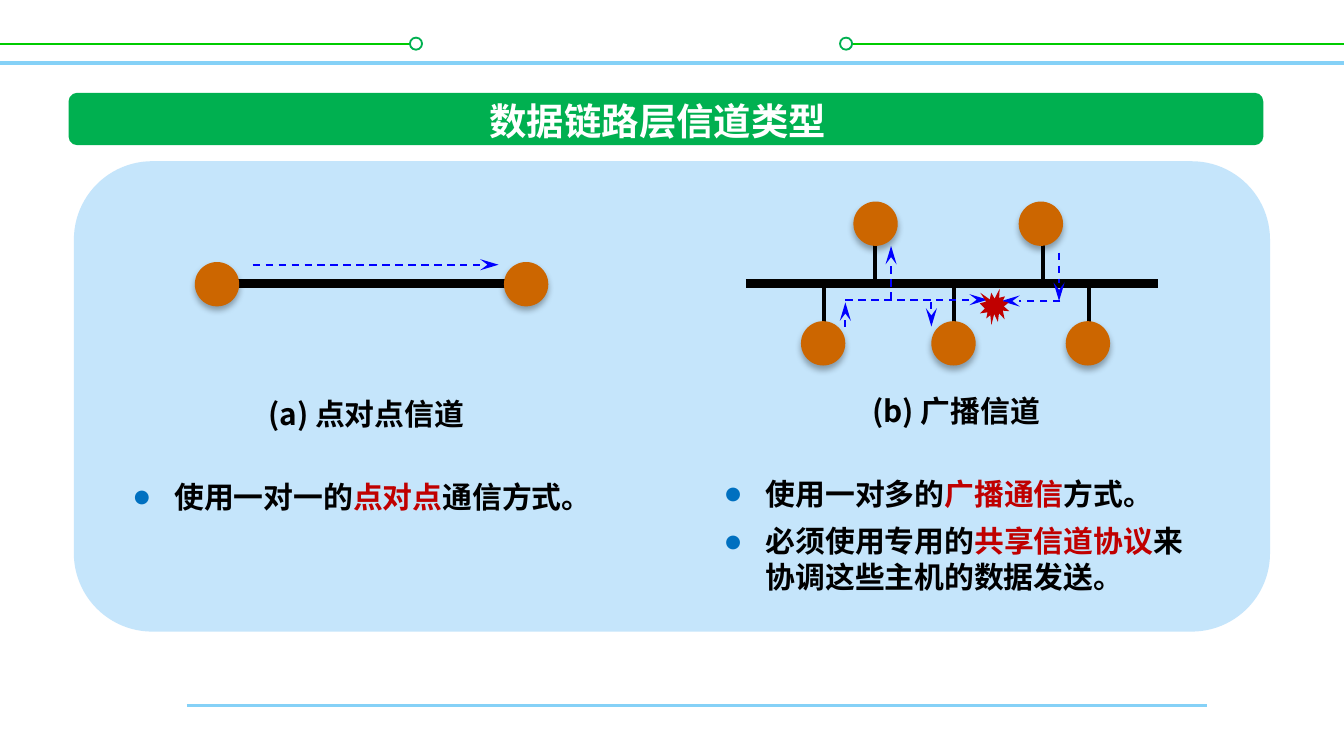
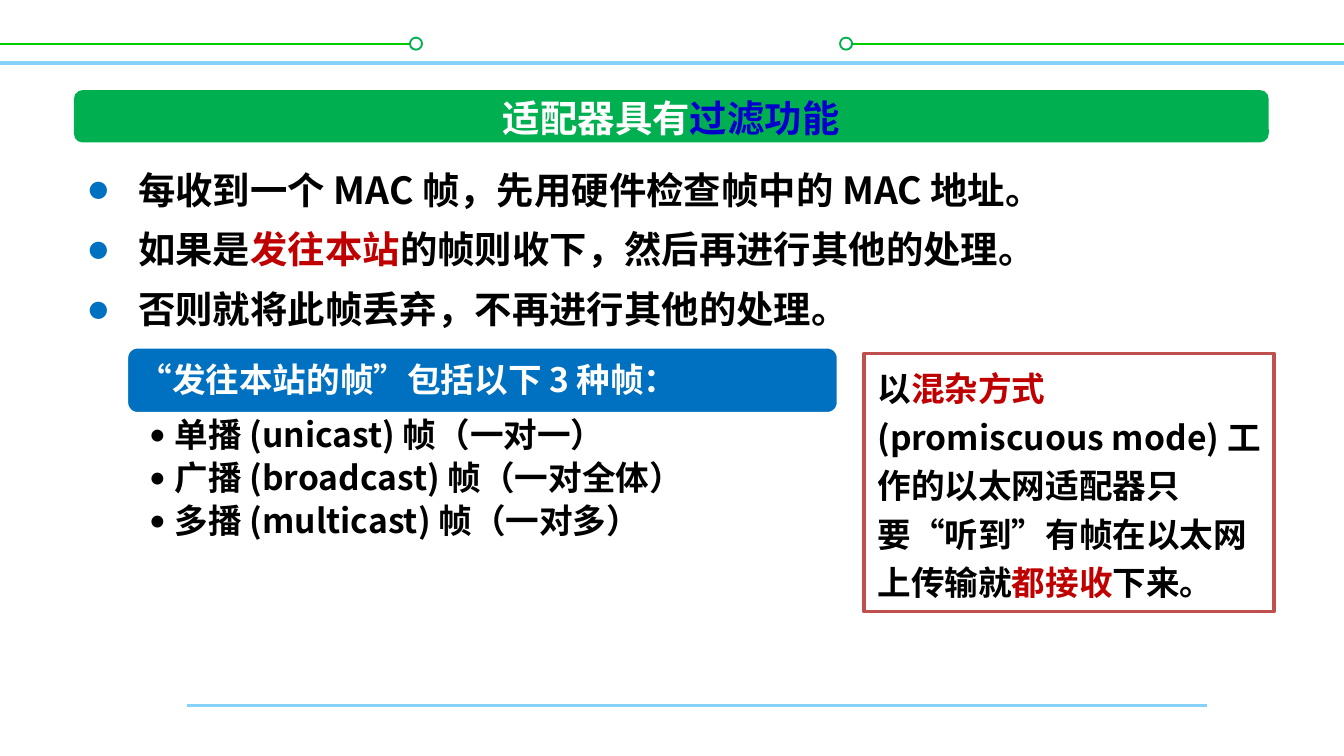
from lxml.etree import SubElement
from pptx import Presentation
from pptx.dml.color import RGBColor
from pptx.enum.dml import MSO_LINE
from pptx.enum.shapes import MSO_CONNECTOR, MSO_SHAPE
from pptx.enum.text import MSO_ANCHOR, PP_ALIGN
from pptx.oxml.ns import qn
from pptx.util import Inches, Pt

FONT = "Noto Sans CJK SC"
LATIN = "Calibri"
BLACK = RGBColor(0, 0, 0)
WHITE = RGBColor(255, 255, 255)
RED = RGBColor(0xC0, 0, 0)
GREEN = RGBColor(0, 0xB0, 0x50)
LIME = RGBColor(0, 0xCC, 0)
SKY = RGBColor(0x85, 0xD1, 0xF7)
PALE = RGBColor(0xC5, 0xE5, 0xFB)
BLUE = RGBColor(0, 0x70, 0xC0)
NAVY = RGBColor(0, 0, 0xCC)
ARROW = RGBColor(0, 0, 255)
ORANGE = RGBColor(0xCC, 0x66, 0)
BRICK = RGBColor(0xC0, 0x50, 0x4D)

RULES = [
    (0, 0.47, 10, 0.47, SKY, 2),
    (0, 0.33, 3.1, 0.33, LIME, 1),
    (6.25, 0.33, 10, 0.33, LIME, 1),
    (1.39, 5.25, 8.98, 5.25, SKY, 1.5),
]
RINGS = [3.05, 6.25]

NODE = 0.33
BUS = 2.11
HOSTS = [(1.45, 1.95), (3.75, 1.95), (6.35, 1.5), (7.58, 1.5),
         (5.96, 2.39), (6.93, 2.39), (7.93, 2.39)]
TRUNKS = [(1.61, 3.91), (5.55, 8.62)]
STEMS = [(6.51, 1.79), (7.76, 1.79), (7.1, 2.45), (8.1, 2.45), (6.13, 2.45)]
ARROWS = [
    (7.89, 2.24, 7.45, 2.24), (7.88, 1.88, 7.88, 2.24),
    (6.29, 2.23, 7.35, 2.23), (6.63, 2.23, 6.63, 1.83),
    (6.93, 2.25, 6.93, 2.43), (6.29, 2.43, 6.29, 2.25),
    (1.88, 1.97, 3.71, 1.97),
]
CHANNELS = [
    (0.89, 2.89, 3.67, 0.99, "(a) 点对点信道", [
        [("使用一对一的", BLACK), ("点对点", RED), ("通信方式。", BLACK)],
    ]),
    (5.29, 2.87, 3.65, 1.62, "(b) 广播信道", [
        [("使用一对多的", BLACK), ("广播通信", RED), ("方式。", BLACK)],
        [("必须使用专用的", BLACK), ("共享信道协议", RED),
         ("来协调这些主机的数据发送。", BLACK)],
    ]),
]

CHECKS = [
    [("每收到一个 MAC 帧，先用硬件检查帧中的 MAC 地址。", BLACK)],
    [("如果是", BLACK), ("发往本站", RED),
     ("的帧则收下，然后再进行其他的处理。", BLACK)],
    [("否则就将此帧丢弃，不再进行其他的处理。", BLACK)],
]
KINDS = [
    [("单播 (unicast) 帧（一对一）", BLACK)],
    [("广播 (broadcast) 帧（一对全体）", BLACK)],
    [("多播 (multicast) 帧（一对多）", BLACK)],
]
LEAD = [("“发往本站的帧”包括以下 3 种帧：", WHITE)]
MODE = [
    ("以", BLACK), ("混杂方式 ", RED),
    ("(promiscuous mode) 工作的以太网适配器只要“听到”有帧在以太网上传输就", BLACK),
    ("都接收", RED), ("下来。", BLACK),
]


def add_line(slide, x1, y1, x2, y2, color, width, arrow=False):
    line = slide.shapes.add_connector(
        MSO_CONNECTOR.STRAIGHT, *map(Inches, (x1, y1, x2, y2)))
    line.line.color.rgb = color
    line.line.width = Pt(width)
    if arrow:
        line.line.dash_style = MSO_LINE.DASH
        SubElement(line.line._get_or_add_ln(), qn("a:tailEnd"),
                   type="stealth", w="med", len="lg")
    SubElement(line._element.spPr, qn("a:effectLst"))


def add_form(slide, kind, place, fill, edge=None, width=1):
    form = slide.shapes.add_shape(kind, *map(Inches, place))
    form.shadow.inherit = False
    form.fill.solid()
    form.fill.fore_color.rgb = fill
    if edge is None:
        form.line.fill.background()
    else:
        form.line.color.rgb = edge
        form.line.width = Pt(width)
    return form


def add_host(slide, x, y):
    host = add_form(slide, MSO_SHAPE.OVAL, (x, y, NODE, NODE), ORANGE)
    effect = host._element.spPr.find(qn("a:effectLst"))
    shade = SubElement(effect, qn("a:outerShdw"), blurRad=str(Pt(3.5)),
                       dist=str(Pt(2.2)), dir="5400000", rotWithShape="0")
    tint = SubElement(shade, qn("a:srgbClr"), val="000000")
    SubElement(tint, qn("a:alpha"), val="32000")


def add_box(slide, place, wrap=True):
    frame = slide.shapes.add_textbox(*map(Inches, place)).text_frame
    frame.word_wrap = wrap
    return frame


def set_bullet(para, mark, indent, color):
    props = para._p.get_or_add_pPr()
    props.set("marL", str(Inches(indent)))
    props.set("indent", str(-Inches(indent)))
    tint = SubElement(props, qn("a:buClr"))
    SubElement(tint, qn("a:srgbClr"), val=str(color))
    SubElement(props, qn("a:buFont"), typeface=LATIN)
    SubElement(props, qn("a:buChar"), char=mark)


def add_para(frame, runs, size, pitch, bullet=None, before=0, after=0,
             align=PP_ALIGN.LEFT, font=FONT, level=0):
    para = frame.paragraphs[0]
    if para.runs:
        para = frame.add_paragraph()
    if bullet:
        set_bullet(para, *bullet)
    para.level = level
    para.alignment = align
    para.line_spacing = Pt(pitch)
    para.space_before = Pt(before)
    para.space_after = Pt(after)
    for text, color in runs:
        run = para.add_run()
        run.text = text
        run.font.size = Pt(size)
        run.font.bold = True
        run.font.name = font
        run.font.color.rgb = color
        SubElement(run._r.get_or_add_rPr(), qn("a:ea"), typeface=FONT)


def add_page(deck):
    slide = deck.slides.add_slide(deck.slide_layouts[6])
    for rule in RULES:
        add_line(slide, *rule)
    for x in RINGS:
        add_form(slide, MSO_SHAPE.OVAL, (x, 0.28, 0.09, 0.09), WHITE, GREEN)
    return slide


def add_title(slide, left, top, text_left, runs, font=FONT):
    add_form(slide, MSO_SHAPE.ROUNDED_RECTANGLE, (left, top, 8.89, 0.39), GREEN)
    frame = add_box(slide, (text_left, top - 0.01, 2.73, 0.44), wrap=False)
    add_para(frame, runs, 20, 24, align=PP_ALIGN.CENTER, font=font)


def draw_types(deck):
    slide = add_page(deck)
    add_title(slide, 0.51, 0.69, 3.53, [("数据链路层信道类型", WHITE)], LATIN)
    add_form(slide, MSO_SHAPE.ROUNDED_RECTANGLE, (0.55, 1.2, 8.9, 3.5), PALE)
    for start, end in TRUNKS:
        add_line(slide, start, BUS, end, BUS, BLACK, 4.5)
    for x, y in STEMS:
        add_line(slide, x, y, x, BUS, BLACK, 2.25)
    for host in HOSTS:
        add_host(slide, *host)
    for arrow in ARROWS:
        add_line(slide, *arrow, ARROW, 1, arrow=True)
    add_form(slide, MSO_SHAPE.EXPLOSION1, (7.29, 2.15, 0.22, 0.27), RED)
    for *place, label, points in CHANNELS:
        frame = add_box(slide, place)
        add_para(frame, [(label, BLACK)], 16, 19.3, after=19.3,
                 align=PP_ALIGN.CENTER)
        for runs in points:
            add_para(frame, runs, 16, 19.3, ("●", 0.31, BLUE), before=6)


def draw_filter(deck):
    slide = add_page(deck)
    frame = add_box(slide, (0.55, 1.08, 9.02, 1.45))
    for runs in CHECKS:
        add_para(frame, runs, 20, 32, ("●", 0.38, BLUE))
    add_title(slide, 0.55, 0.67, 3.63, [("适配器具有", WHITE), ("过滤功能", NAVY)])

    add_form(slide, MSO_SHAPE.ROUNDED_RECTANGLE, (0.94, 2.58, 5.3, 0.5),
             BLUE, WHITE, 2)
    frame = add_box(slide, (0.96, 2.61, 5.25, 0.45))
    frame.vertical_anchor = MSO_ANCHOR.MIDDLE
    frame.margin_left = frame.margin_right = Inches(0.07)
    frame.margin_top = frame.margin_bottom = Inches(0.07)
    add_para(frame, LEAD, 18, 19.4)

    frame = add_box(slide, (0.94, 3.08, 5.3, 1.54))
    frame.margin_left, frame.margin_right = Inches(0.17), Inches(0.14)
    frame.margin_top = frame.margin_bottom = Inches(0.03)
    for runs in KINDS:
        add_para(frame, runs, 18, 19.4, ("•", 0.19, BLACK), after=3.6, level=1)

    note = add_form(slide, MSO_SHAPE.RECTANGLE, (6.43, 2.63, 3.05, 1.92),
                    WHITE, BRICK, 2)
    frame = note.text_frame
    frame.word_wrap = True
    frame.vertical_anchor = MSO_ANCHOR.TOP
    add_para(frame, MODE, 18, 26)


def main():
    deck = Presentation()
    deck.slide_width = Inches(10)
    deck.slide_height = Pt(405)
    draw_types(deck)
    draw_filter(deck)
    deck.save("out.pptx")


if __name__ == "__main__":
    main()
